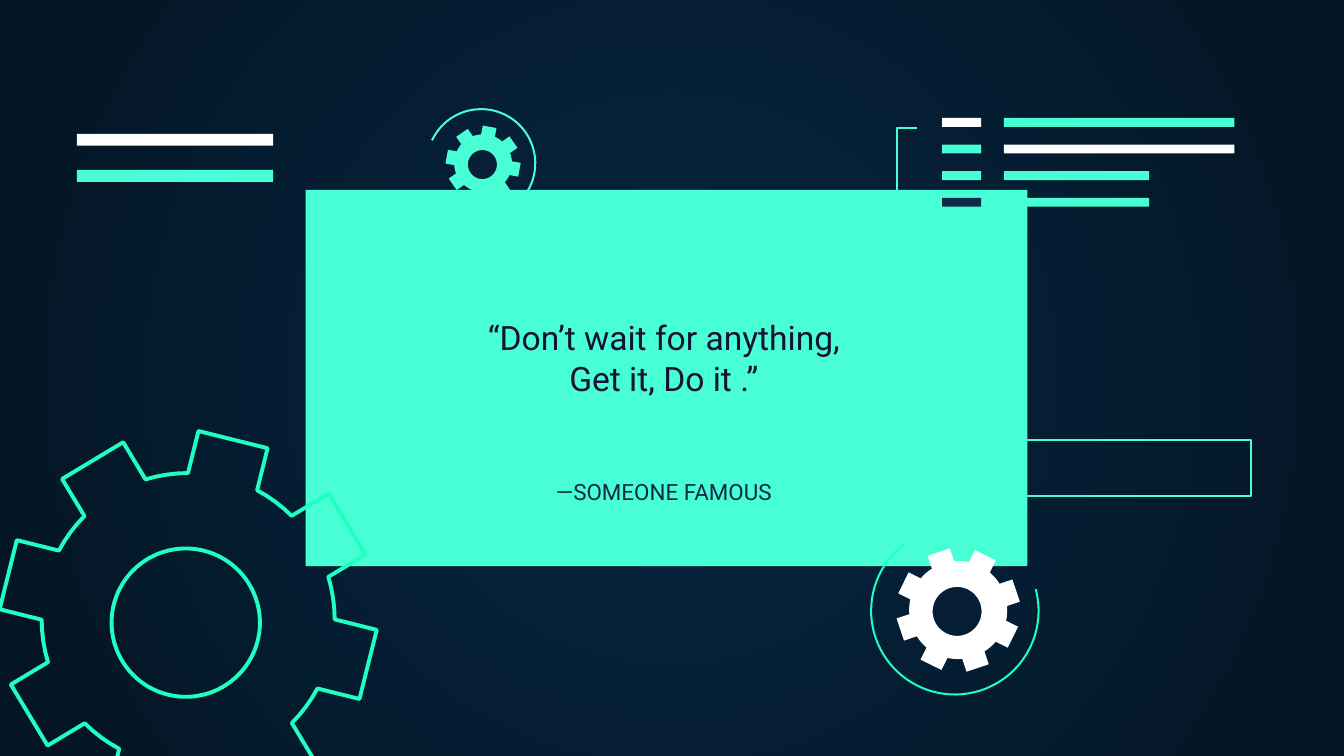
from math import asin, cos, degrees, radians, sin

from lxml import etree
from pptx import Presentation
from pptx.dml.color import RGBColor
from pptx.enum.shapes import MSO_SHAPE
from pptx.enum.text import MSO_ANCHOR, PP_ALIGN
from pptx.oxml.ns import qn
from pptx.util import Inches, Pt

RECTANGLE = MSO_SHAPE.RECTANGLE
CENTER = PP_ALIGN.CENTER
TOP, BOTTOM = MSO_ANCHOR.TOP, MSO_ANCHOR.BOTTOM

# The grid: one column or row is a hundredth of the slide's width.
COLUMNS, ROWS = 100, 56.25
CELL = Inches(0.1)
ARC_STEP = 4

MINT, BRIGHT_MINT, WHITE = "48FFD5", "1EFFC1", "FFFFFF"
NAVY, INK = "0E2A47", "161234"
GLOW, EDGE = "052643", "041523"


def cells(count):
    return round(count * CELL)


def color(hex_string):
    return RGBColor.from_string(hex_string)


def arc_points(center, radius, start, end):
    """Points along an arc; angles in degrees, clockwise from the right."""
    steps = max(1, round(abs(end - start) / ARC_STEP))
    angles = [radians(start + (end - start) * step / steps) for step in range(steps + 1)]
    return [(center[0] + radius * cos(a), center[1] + radius * sin(a)) for a in angles]


def gear_points(center, tip, root, half_tooth, phase, teeth=8):
    """Outline with parallel-sided teeth, the first one at angle phase."""
    pitch = 360 / teeth
    tip_angle = degrees(asin(half_tooth / tip))
    root_angle = degrees(asin(half_tooth / root))
    points = []
    for tooth in range(teeth):
        middle = phase + tooth * pitch
        for angle in (middle - tip_angle, middle + tip_angle):
            points += arc_points(center, tip, angle, angle)[:1]
        points += arc_points(center, root, middle + root_angle, middle + pitch - root_angle)
    return points


class SlideBuilder:
    font = "Roboto"
    thin = 1.09

    def __init__(self, slide):
        self.slide = slide

    def radial_background(self, inner, outer):
        fill = self.slide.background.fill
        fill.gradient()
        for stop, hex_string, position in zip(fill.gradient_stops, (inner, outer), (0, 1)):
            stop.color.rgb = color(hex_string)
            stop.position = position
        gradient = self.slide.element.find(".//" + qn("a:gradFill"))
        linear = gradient.find(qn("a:lin"))
        radial = etree.Element(qn("a:path"), path="circle")
        etree.SubElement(radial, qn("a:fillToRect"), l="50000", t="50000", r="50000", b="50000")
        gradient.replace(linear, radial)

    def paint(self, shape, fill=None, line=None, width=thin):
        shape.shadow.inherit = False
        if fill:
            shape.fill.solid()
            shape.fill.fore_color.rgb = color(fill)
        else:
            shape.fill.background()
        if line:
            shape.line.color.rgb = color(line)
            shape.line.width = Pt(width)
        else:
            shape.line.fill.background()

    def box(self, column, row, columns, rows, **paint):
        shape = self.slide.shapes.add_shape(
            RECTANGLE, cells(column), cells(row), cells(columns), cells(rows))
        self.paint(shape, **paint)

    def outline(self, contours, closed=True, **paint):
        builder = None
        for contour in contours:
            points = [(cells(x), cells(y)) for x, y in contour]
            if builder is None:
                builder = self.slide.shapes.build_freeform(*points[0])
            else:
                builder.move_to(*points[0])
            builder.add_line_segments(points[1:], close=closed)
        self.paint(builder.convert_to_shape(), **paint)

    def arc(self, center, radius, start, end, line):
        self.outline([arc_points(center, radius, start, end)], closed=False, line=line)

    def gear(self, center, tip, root, half_tooth, phase, hole_center, hole, **paint):
        # The hole runs against the rim, so that it stays open.
        self.outline([gear_points(center, tip, root, half_tooth, phase),
                      arc_points(hole_center, hole, 360, 0)], **paint)

    def text(self, column, row, columns, rows, lines, size, hex_string, anchor):
        shape = self.slide.shapes.add_textbox(
            cells(column), cells(row), cells(columns), cells(rows))
        frame = shape.text_frame
        frame.word_wrap = True
        frame.vertical_anchor = anchor
        frame.margin_left = frame.margin_right = cells(1)
        frame.margin_top = frame.margin_bottom = cells(1)
        frame.text = "\n".join(lines)
        for paragraph in frame.paragraphs:
            paragraph.alignment = CENTER
            for run in paragraph.runs:
                run.font.name = self.font
                run.font.size = Pt(size)
                run.font.color.rgb = color(hex_string)


def main():
    presentation = Presentation()
    presentation.slide_width = cells(COLUMNS)
    presentation.slide_height = cells(ROWS)
    builder = SlideBuilder(presentation.slides.add_slide(presentation.slide_layouts[6]))

    builder.radial_background(GLOW, EDGE)
    builder.box(22.74, 14.13, 53.7, 28, fill=MINT)

    builder.arc((35.8, 12.15), 4.03, 205, 455, MINT)
    builder.arc((71.05, 45.45), 6.23, -15, 233, BRIGHT_MINT)
    builder.gear((14, 46.1), 14.05, 10.9, 2.65, 14, (13.82, 46.33), 5.52,
                 line=BRIGHT_MINT, width=2.1)
    builder.gear((71.3, 45.4), 4.63, 3.65, 0.87, 26.4, (71.22, 45.5), 1.82, fill=WHITE)
    builder.gear((35.95, 12.15), 2.8, 2.15, 0.52, 10.2, (35.9, 12.25), 1.08, fill=MINT)

    list_rows = [(WHITE, MINT, 17.15), (MINT, WHITE, 17.15),
                 (MINT, MINT, 10.8), (NAVY, MINT, 10.8)]
    for index, (marker, bar, length) in enumerate(list_rows):
        row = 8.78 + index * 1.98
        builder.box(70.1, row, 2.9, 0.66, fill=marker)
        builder.box(74.7, row, length, 0.66, fill=bar)
    builder.outline([[(68.3, 15.55), (66.75, 15.55), (66.75, 9.52), (68.2, 9.52)]],
                    closed=False, line=MINT)

    for row, hex_string in ((9.97, WHITE), (12.65, MINT)):
        builder.box(5.73, row, 14.6, 0.88, fill=hex_string)
    builder.box(72, 32.75, 21.1, 4.17, line=MINT)

    builder.text(30.1, 17.4, 38.6, 21.2, ["—SOMEONE FAMOUS"], 12, NAVY, BOTTOM)
    builder.text(30.5, 22.6, 37.8, 15.5,
                 ["“Don’t wait for anything,", "Get it, Do it .”"], 18, INK, TOP)

    presentation.save("out.pptx")


if __name__ == "__main__":
    main()
